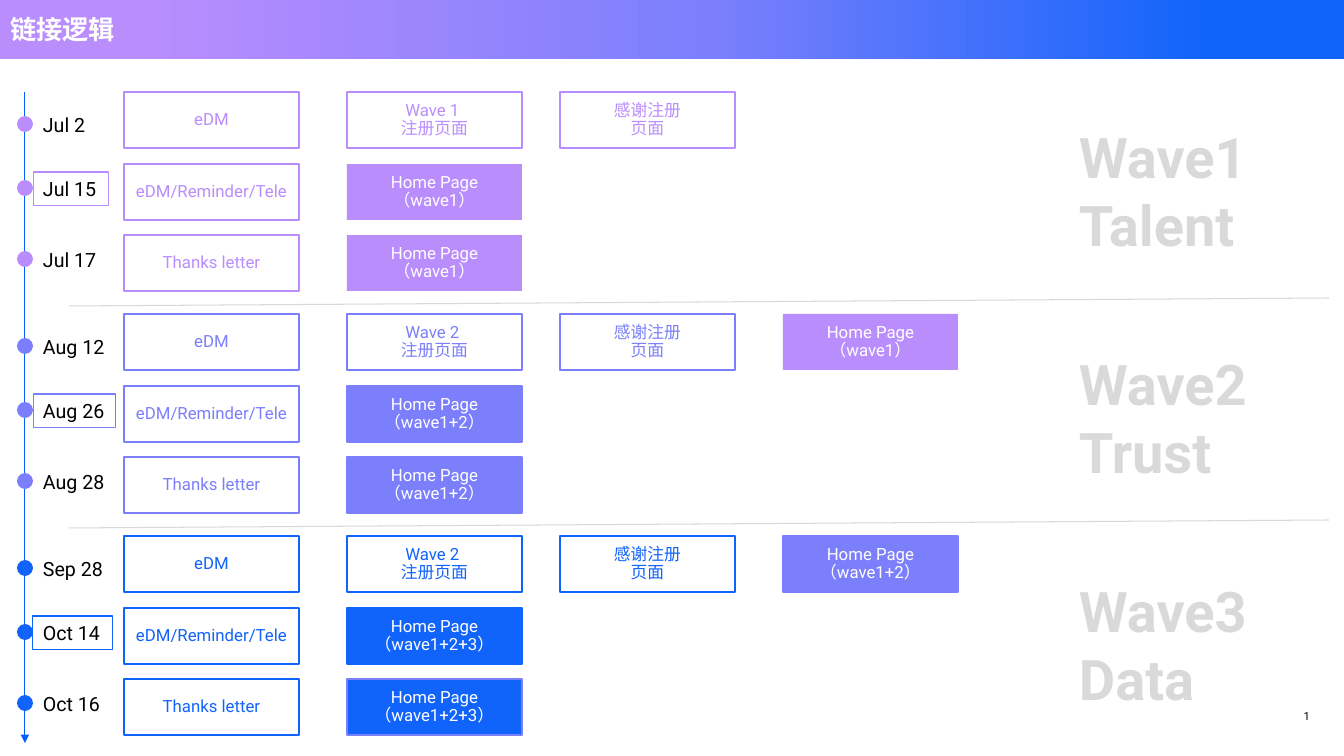
import dataclasses

import lxml.etree
import pptx
import pptx.dml.color
import pptx.enum.shapes
import pptx.enum.text
import pptx.oxml.ns
import pptx.util

PX = 914400 / 100.8
qn = pptx.oxml.ns.qn
SHAPES = pptx.enum.shapes.MSO_SHAPE
ALIGN = pptx.enum.text.PP_ALIGN
ANCHOR = pptx.enum.text.MSO_ANCHOR
AUTOSIZE = pptx.enum.text.MSO_AUTO_SIZE


@dataclasses.dataclass(frozen=True)
class Theme:
    font: str = "Roboto"
    lilac: str = "BA8DFD"
    violet: str = "7B7FFC"
    blue: str = "1164FB"
    axis: str = "0060F9"
    grey: str = "D9D9D9"
    black: str = "000000"
    white: str = "FFFFFF"
    title_size: float = 18.7
    wave_size: float = 40
    wave_leading: float = 48
    date_size: float = 14
    box_size: float = 12
    number_size: float = 8


def px(value):
    return pptx.util.Emu(round(value * PX))


def rgb(value):
    return pptx.dml.color.RGBColor.from_string(value)


def apply(target, values):
    for name, value in values.items():
        setattr(target, name, value)


class Page:
    def __init__(self, deck, theme):
        self.theme = theme
        self.slide = deck.slides.add_slide(deck.slide_layouts[5])
        self.shapes = self.slide.shapes

    def fill_text(self, shape, lines, size, color, bold=False, frame=None, para=None):
        box = shape.text_frame
        apply(box, {"word_wrap": True, "auto_size": AUTOSIZE.NONE, **(frame or {})})
        box.text = "\n".join(lines)
        for paragraph in box.paragraphs:
            apply(paragraph, {"alignment": ALIGN.LEFT, **(para or {})})
            for span in paragraph.runs:
                apply(span.font, {"name": self.theme.font, "bold": bold,
                                  "size": pptx.util.Pt(size)})
                span.font.color.rgb = rgb(color)

    def shape(self, kind, place, fill=None, line=None, weight=1.5):
        shape = self.shapes.add_shape(kind, *map(px, place))
        shape.shadow.inherit = False
        if fill:
            shape.fill.solid()
            shape.fill.fore_color.rgb = rgb(fill)
        else:
            shape.fill.background()
        if line:
            shape.line.color.rgb = rgb(line)
            shape.line.width = pptx.util.Pt(weight)
        else:
            shape.line.fill.background()
        return shape

    def banner(self, place, stops):
        """Draw a bar shaded from right to left through (percent, colour) stops."""
        bar = self.shape(SHAPES.RECTANGLE, place)
        bar.fill.gradient()
        bar.fill.gradient_angle = 180
        stop_list = next(bar._element.iter(qn("a:gsLst")))
        for old in list(stop_list):
            stop_list.remove(old)
        for percent, color in stops:
            stop = lxml.etree.SubElement(stop_list, qn("a:gs"), pos=str(percent * 1000))
            lxml.etree.SubElement(stop, qn("a:srgbClr"), val=color)

    def title(self, text, place):
        title = self.shapes.title
        apply(title, dict(zip(("left", "top", "width", "height"), map(px, place))))
        self.fill_text(title, [text], self.theme.title_size, self.theme.white, bold=True,
                       frame={"vertical_anchor": ANCHOR.MIDDLE})
        self.shapes._spTree.append(title._element)

    def box(self, place, lines, color, fill=None, line=None):
        inset = px(4)
        self.fill_text(self.shape(SHAPES.RECTANGLE, place, fill, line), lines,
                       self.theme.box_size, color,
                       frame={"vertical_anchor": ANCHOR.MIDDLE, "margin_left": inset,
                              "margin_right": inset, "margin_top": inset,
                              "margin_bottom": inset},
                       para={"alignment": ALIGN.CENTER, "line_spacing": 0.9})

    def date(self, text, place, color, framed):
        if framed:
            label = self.shape(SHAPES.RECTANGLE, place, line=color, weight=0.75)
        else:
            label = self.shapes.add_textbox(*map(px, place))
        self.fill_text(label, [text], self.theme.date_size, self.theme.black,
                       frame={"word_wrap": False,
                              "auto_size": AUTOSIZE.SHAPE_TO_FIT_TEXT,
                              "vertical_anchor": ANCHOR.TOP})

    def plain_text(self, lines, place, size, color, bold=False, frame=None, para=None):
        label = self.shapes.add_textbox(*map(px, place))
        margins = dict.fromkeys(
            ("margin_left", "margin_right", "margin_top", "margin_bottom"), 0)
        self.fill_text(label, lines, size, color, bold, {**margins, **(frame or {})}, para)
        return label

    def page_number(self, text, place):
        label = self.plain_text([text], place, self.theme.number_size, self.theme.black,
                                frame={"vertical_anchor": ANCHOR.MIDDLE},
                                para={"alignment": ALIGN.RIGHT})
        span = label.text_frame.paragraphs[0].runs[0]._r
        span.tag = qn("a:fld")
        span.set("id", "{B6F15528-21DE-4FAA-801E-634DDDAF4B2B}")
        span.set("type", "slidenum")

    def line(self, start, end, color, arrow=False):
        line = self.shapes.add_connector(pptx.enum.shapes.MSO_CONNECTOR.STRAIGHT,
                                         *map(px, start + end))
        line.line.color.rgb = rgb(color)
        line.line.width = pptx.util.Pt(0.75)
        if arrow:
            lxml.etree.SubElement(line.line._get_or_add_ln(), qn("a:tailEnd"),
                                  type="triangle")
        lxml.etree.SubElement(line._element.spPr, qn("a:effectLst"))


THEME = Theme()
HEADER = (0, 0, 1344, 59)
FIRST_ROW, WAVE_STEP = 92, 222
ROW_OFFSETS = (0, 72, 143)
DOT_OFFSETS = (24, 16, 16)
COLUMNS = (124, 347, 560, 783)
BOX_SIZE = (175, 56)
DATE_WIDTHS = {"Jul 2": 63, "Jul 15": 76, "Jul 17": 76, "Oct 14": 80, "Oct 16": 80}
MAILS = ("eDM", "eDM/Reminder/Tele", "Thanks letter")

# Home page boxes: text lines, fill, outline
HOME_1 = (("Home Page", "（wave1）"), THEME.lilac, None)
HOME_2 = (("Home Page（wave1+2）",), THEME.violet, THEME.violet)
HOME_3 = (("Home Page（wave1+2+3）",), THEME.blue, THEME.blue)
HOME_3_EDGED = (*HOME_3[:2], THEME.violet)

# Waves: name, colour, dates, sign-up page, earlier home page, later home pages
WAVES = (
    (("Wave1", "Talent"), THEME.lilac, ("Jul 2", "Jul 15", "Jul 17"),
     "Wave 1 ", None, (HOME_1, HOME_1)),
    (("Wave2", "Trust"), THEME.violet, ("Aug 12", "Aug 26", "Aug 28"),
     "Wave 2 ", HOME_1, (HOME_2, HOME_2)),
    (("Wave3", "Data"), THEME.blue, ("Sep 28", "Oct 14", "Oct 16"),
     "Wave 2 ", HOME_2, (HOME_3, HOME_3_EDGED)),
)


def add_wave(page, index, wave):
    name, color, dates, signup, earlier_home, later_homes = wave
    top = FIRST_ROW + index * WAVE_STEP
    first_row = [((signup, "注册页面"), None, color), (("感谢注册", "页面"), None, color)]
    if earlier_home:
        first_row.append(earlier_home)
    rows = (first_row, *([home] for home in later_homes))

    for number, (date, mail, targets) in enumerate(zip(dates, MAILS, rows)):
        row_top = top + ROW_OFFSETS[number]
        dot_top = row_top + DOT_OFFSETS[number]
        page.shape(SHAPES.OVAL, (17, dot_top, 16, 16), fill=color)
        page.date(date, (33, dot_top - 8, DATE_WIDTHS.get(date, 83), 34), color,
                  framed=number == 1)
        boxes = [((mail,), None, color), *targets]
        for left, (lines, fill, outline) in zip(COLUMNS, boxes):
            page.box((left, row_top, *BOX_SIZE), lines,
                     THEME.white if fill else color, fill, outline)

    page.plain_text(name, (1079, 123 + index * 227, 230, 135), THEME.wave_size,
                    THEME.grey, bold=True,
                    para={"line_spacing": pptx.util.Pt(THEME.wave_leading)})
    if index:
        divider = top - 8
        page.line((69, divider), (1329, divider - 8), THEME.grey)


def main():
    deck = pptx.Presentation()
    deck.slide_width, deck.slide_height = px(1344), px(756)
    page = Page(deck, THEME)
    page.banner(HEADER, ((10, THEME.blue), (47, THEME.violet), (90, THEME.lilac)))
    page.page_number("1", (1041, 704, 269, 24))
    page.line((25, 92), (25, 743), THEME.axis, arrow=True)
    for index, wave in enumerate(WAVES):
        add_wave(page, index, wave)
    page.title("链接逻辑", HEADER)
    deck.save("out.pptx")


if __name__ == "__main__":
    main()
